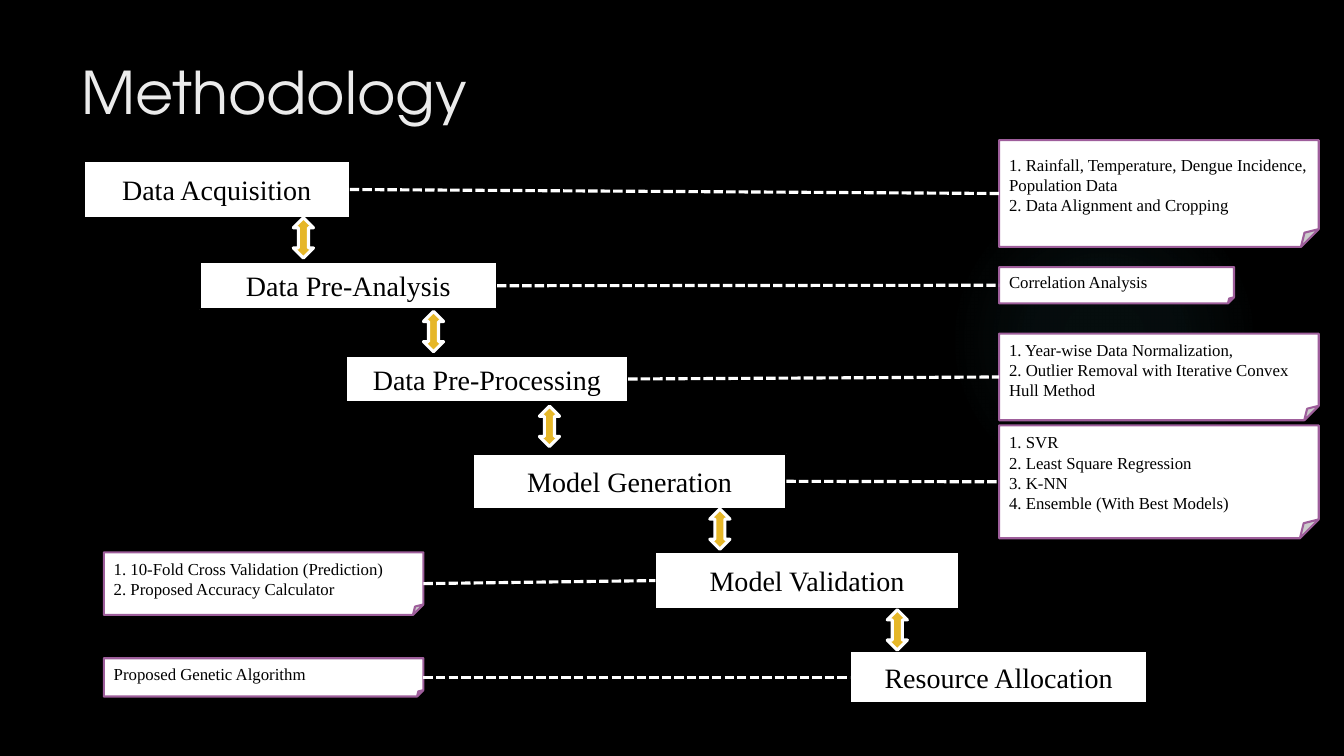
from dataclasses import dataclass

from lxml.etree import SubElement
from pptx import Presentation
from pptx.dml.color import RGBColor
from pptx.enum.dml import MSO_LINE
from pptx.enum.shapes import MSO_CONNECTOR, MSO_SHAPE
from pptx.enum.text import MSO_ANCHOR, PP_ALIGN
from pptx.oxml.ns import qn
from pptx.shapes.autoshape import Shape
from pptx.util import Emu, Inches, Pt

CELL = Inches(0.1)  # the slide is a grid of 133.33 columns by 75 rows
TOP, LEFT, RIGHT = 0, 1, 3


@dataclass(frozen=True)
class Theme:
    back: str = "000000"
    ink: str = "000000"
    paper: str = "FFFFFF"
    title: str = "EBEBEB"
    edge: str = "9E5E9B"
    gold: str = "E6B729"
    glow: str = "50B9C1"
    head_font: str = "TeX Gyre Adventor"
    body_font: str = "Times New Roman"
    head_size: float = 42
    step_size: float = 20
    note_size: float = 12
    thin: float = 1.5
    thick: float = 2.25


@dataclass(frozen=True)
class Box:
    """A place on the grid, in columns and rows."""
    col: float
    row: float
    cols: float
    rows: float

    def place(self) -> list[Emu]:
        return [Emu(round(n * CELL)) for n in (self.col, self.row, self.cols, self.rows)]


@dataclass(frozen=True)
class Stage:
    name: str
    box: Box
    notes: tuple[str, ...]
    note_box: Box


THEME = Theme()
GLOW = Box(94.1, 18.3, 30.8, 30.8)
HEAD = Box(7.1, 5, 102.9, 15.3)
EAST, WEST, WIDE = 99.1, 10.3, 31.7

STAGES = (
    Stage("Data Acquisition", Box(8.3, 16, 26.4, 5.6),
          ("1. Rainfall, Temperature, Dengue Incidence, Population Data",
           "2. Data Alignment and Cropping"), Box(EAST, 13.9, WIDE, 10.6)),
    Stage("Data Pre-Analysis", Box(19.8, 26, 29.5, 4.7),
          ("Correlation Analysis",), Box(EAST, 26.5, 23.3, 3.6)),
    Stage("Data Pre-Processing", Box(34.3, 35.3, 28, 4.6),
          ("1. Year-wise Data Normalization,",
           "2. Outlier Removal with Iterative Convex Hull Method"),
          Box(EAST, 33.1, WIDE, 8.6)),
    Stage("Model Generation", Box(46.9, 45, 31.1, 5.5),
          ("1. SVR", "2. Least Square Regression", "3. K-NN",
           "4. Ensemble (With Best Models)"), Box(EAST, 42.2, WIDE, 11.2)),
    Stage("Model Validation", Box(65, 54.8, 30.1, 5.6),
          ("1. 10-Fold Cross Validation (Prediction)",
           "2. Proposed Accuracy Calculator"), Box(WEST, 54.8, WIDE, 6.2)),
    Stage("Resource Allocation", Box(84.3, 64.6, 29.5, 5.2),
          ("Proposed Genetic Algorithm",), Box(WEST, 65.3, WIDE, 3.8)),
)
ARROWS = ((29.1, 21.6), (42, 30.9), (53.5, 40.3), (70.4, 50.5), (88, 60.5))


def tint(code: str) -> RGBColor:
    return RGBColor.from_string(code)


def write(shape: Shape, lines: tuple[str, ...], font: str, size: float, ink: str,
          align: PP_ALIGN = PP_ALIGN.LEFT,
          anchor: MSO_ANCHOR = MSO_ANCHOR.MIDDLE) -> None:
    frame = shape.text_frame
    frame.word_wrap = True
    frame.vertical_anchor = anchor
    for i, line in enumerate(lines):
        para = frame.add_paragraph() if i else frame.paragraphs[0]
        para.alignment = align
        run = para.add_run()
        run.text = line
        run.font.name = font
        run.font.size = Pt(size)
        run.font.color.rgb = tint(ink)


def draw(shapes, kind: MSO_SHAPE, box: Box, fill: str, line: str, width: float) -> Shape:
    shape = shapes.add_shape(kind, *box.place())
    shape.shadow.inherit = False
    shape.fill.solid()
    shape.fill.fore_color.rgb = tint(fill)
    shape.line.color.rgb = tint(line)
    shape.line.width = Pt(width)
    return shape


def draw_glow(shapes) -> None:
    """Add a round glow that fades out from its centre."""
    shape = shapes.add_shape(MSO_SHAPE.OVAL, *GLOW.place())
    shape.shadow.inherit = False
    shape.line.fill.background()
    shape.fill.gradient()
    grad = shape._element.spPr.find(qn("a:gradFill"))
    for child in list(grad):
        grad.remove(child)
    stops = SubElement(grad, qn("a:gsLst"))
    for pos, alpha in ((0, 7), (36, 6), (69, 0)):
        stop = SubElement(stops, qn("a:gs"), pos=str(pos * 1000))
        color = SubElement(stop, qn("a:srgbClr"), val=THEME.glow)
        SubElement(color, qn("a:alpha"), val=str(alpha * 1000))
    ring = SubElement(grad, qn("a:path"), path="circle")
    SubElement(ring, qn("a:fillToRect"), dict.fromkeys("ltrb", "50000"))


def join(shapes, start: Shape, end: Shape) -> None:
    """Link the right side of start to the left side of end with dashes."""
    link = shapes.add_connector(MSO_CONNECTOR.STRAIGHT, 0, 0, 0, 0)
    link.begin_connect(start, RIGHT)
    link.end_connect(end, LEFT)
    link.line.color.rgb = tint(THEME.paper)
    link.line.width = Pt(THEME.thick)
    link.line.dash_style = MSO_LINE.SQUARE_DOT
    SubElement(link._element.spPr, qn("a:effectLst"))


def main() -> None:
    deck = Presentation()
    deck.slide_width, deck.slide_height = Inches(13.33), Inches(7.5)
    slide = deck.slides.add_slide(deck.slide_layouts[6])
    slide.background.fill.solid()
    slide.background.fill.fore_color.rgb = tint(THEME.back)
    shapes = slide.shapes

    draw_glow(shapes)
    write(shapes.add_textbox(*HEAD.place()), ("Methodology",), THEME.head_font,
          THEME.head_size, THEME.title, anchor=MSO_ANCHOR.TOP)

    pairs = []
    for stage in STAGES:
        step = draw(shapes, MSO_SHAPE.RECTANGLE, stage.box,
                    THEME.paper, THEME.ink, THEME.thin)
        write(step, (stage.name,), THEME.body_font, THEME.step_size, THEME.ink,
              PP_ALIGN.CENTER)
        note = draw(shapes, MSO_SHAPE.FOLDED_CORNER, stage.note_box,
                    THEME.paper, THEME.edge, THEME.thin)
        write(note, stage.notes, THEME.body_font, THEME.note_size, THEME.ink)
        pairs.append((note, step) if stage.note_box.col == WEST else (step, note))

    for col, row in ARROWS:
        draw(shapes, MSO_SHAPE.UP_DOWN_ARROW, Box(col, row, 2, 4),
             THEME.gold, THEME.paper, THEME.thick)
    for start, end in pairs:
        join(shapes, start, end)

    deck.save("out.pptx")


if __name__ == "__main__":
    main()
